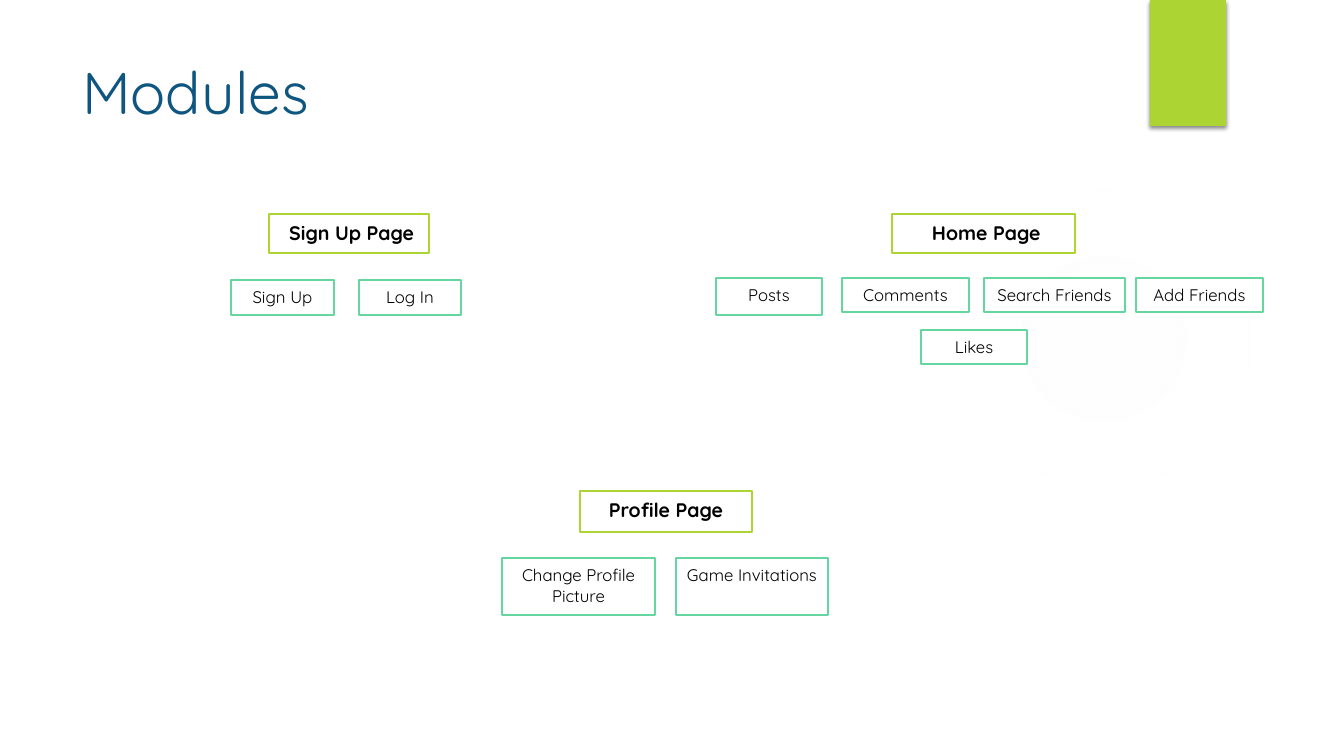
from dataclasses import dataclass

from lxml.etree import fromstring
from pptx import Presentation
from pptx.dml.color import RGBColor
from pptx.enum.shapes import MSO_SHAPE as Preset
from pptx.enum.text import MSO_ANCHOR as Anchor, PP_ALIGN as Align
from pptx.oxml.ns import nsdecls
from pptx.util import Pt

EMU_PER_PIXEL = 914400 / 100.8


@dataclass(frozen=True)
class Theme:
    font: str = "Quicksand"
    title_color: str = "0E5580"
    text_color: str = "000000"
    box_fill: str = "FFFFFF"
    accent: str = "ACD433"
    feature_line: str = "65D6A0"
    glow: str = "F7F7F7"
    title_size: int = 42
    page_size: int = 14
    feature_size: int = 12
    line_width: float = 1.5


THEME = Theme()

MODULES = [
    (("Sign Up Page ", 269, 214, 160, 39), [
        ("Sign Up", 231, 280, 103, 35),
        ("Log In", 359, 280, 102, 35),
    ]),
    (("Home Page ", 892, 214, 183, 39), [
        ("Posts", 716, 278, 106, 37),
        ("Comments", 842, 278, 127, 34),
        ("Search Friends", 984, 278, 141, 34),
        ("Add Friends", 1136, 278, 127, 34),
        ("Likes", 921, 330, 106, 34),
    ]),
    (("Profile Page", 580, 491, 172, 41), [
        ("Change Profile Picture", 502, 558, 153, 57),
        ("Game Invitations", 676, 558, 152, 57),
    ]),
]


def px(*lengths):
    return [round(length * EMU_PER_PIXEL) for length in lengths]


def color(value):
    return RGBColor.from_string(value)


def format_run(paragraph, size, font_color, bold=False):
    font = paragraph.runs[0].font
    font.name = THEME.font
    font.size = Pt(size)
    font.bold = bold
    font.color.rgb = color(font_color)


def add_glow(slide):
    shape = slide.shapes.add_shape(Preset.OVAL, *px(949, 184, 310, 310))
    shape.shadow.inherit = False
    shape.line.fill.background()
    stops = "".join(
        f'<a:gs pos="{position * 1000}"><a:srgbClr val="{THEME.glow}">'
        f'<a:alpha val="{alpha * 1000}"/></a:srgbClr></a:gs>'
        for position, alpha in [(0, 7), (36, 6), (69, 0)]
    )
    gradient = fromstring(
        f'<a:gradFill {nsdecls("a")}><a:gsLst>{stops}</a:gsLst><a:path path="circle">'
        '<a:fillToRect l="50000" t="50000" r="50000" b="50000"/></a:path></a:gradFill>'
    )
    shape.element.spPr.find("{*}prstGeom").addnext(gradient)


def add_accent_bar(slide):
    shape = slide.shapes.add_shape(Preset.RECTANGLE, *px(1150, 0, 76, 126))
    shape.fill.solid()
    shape.fill.fore_color.rgb = color(THEME.accent)
    shape.line.fill.background()
    shape.shadow.inherit = False
    shadow = fromstring(
        f'<a:outerShdw {nsdecls("a")} blurRad="{Pt(3)}" dist="{Pt(2)}" dir="5400000" '
        'rotWithShape="0"><a:srgbClr val="000000"><a:alpha val="45000"/></a:srgbClr></a:outerShdw>'
    )
    shape.element.spPr.find("{*}effectLst").append(shadow)


def set_title(slide, text):
    title = slide.shapes.title
    title.left, title.top, title.width, title.height = px(72, 50, 1037, 82)
    frame = title.text_frame
    frame.text = text
    frame.vertical_anchor = Anchor.MIDDLE
    paragraph = frame.paragraphs[0]
    paragraph.alignment = Align.LEFT
    format_run(paragraph, THEME.title_size, THEME.title_color)


def add_box(slide, box, line_color, size, bold=False):
    text, *bounds = box
    shape = slide.shapes.add_shape(Preset.RECTANGLE, *px(*bounds))
    shape.shadow.inherit = False
    shape.fill.solid()
    shape.fill.fore_color.rgb = color(THEME.box_fill)
    shape.line.color.rgb = color(line_color)
    shape.line.width = Pt(THEME.line_width)
    frame = shape.text_frame
    frame.text = text
    frame.word_wrap = True
    frame.vertical_anchor = Anchor.TOP
    paragraph = frame.paragraphs[0]
    paragraph.alignment = Align.CENTER
    paragraph.line_spacing = 1.07
    paragraph.space_after = Pt(8)
    paragraph._p.get_or_add_pPr().set("rtl", "1")
    format_run(paragraph, size, THEME.text_color, bold)


def main():
    presentation = Presentation()
    presentation.slide_width, presentation.slide_height = px(1344, 756)
    slide = presentation.slides.add_slide(presentation.slide_layouts[5])
    add_glow(slide)
    add_accent_bar(slide)
    set_title(slide, "Modules")
    for page, features in MODULES:
        add_box(slide, page, THEME.accent, THEME.page_size, bold=True)
        for feature in features:
            add_box(slide, feature, THEME.feature_line, THEME.feature_size)
    presentation.save("out.pptx")


main()
